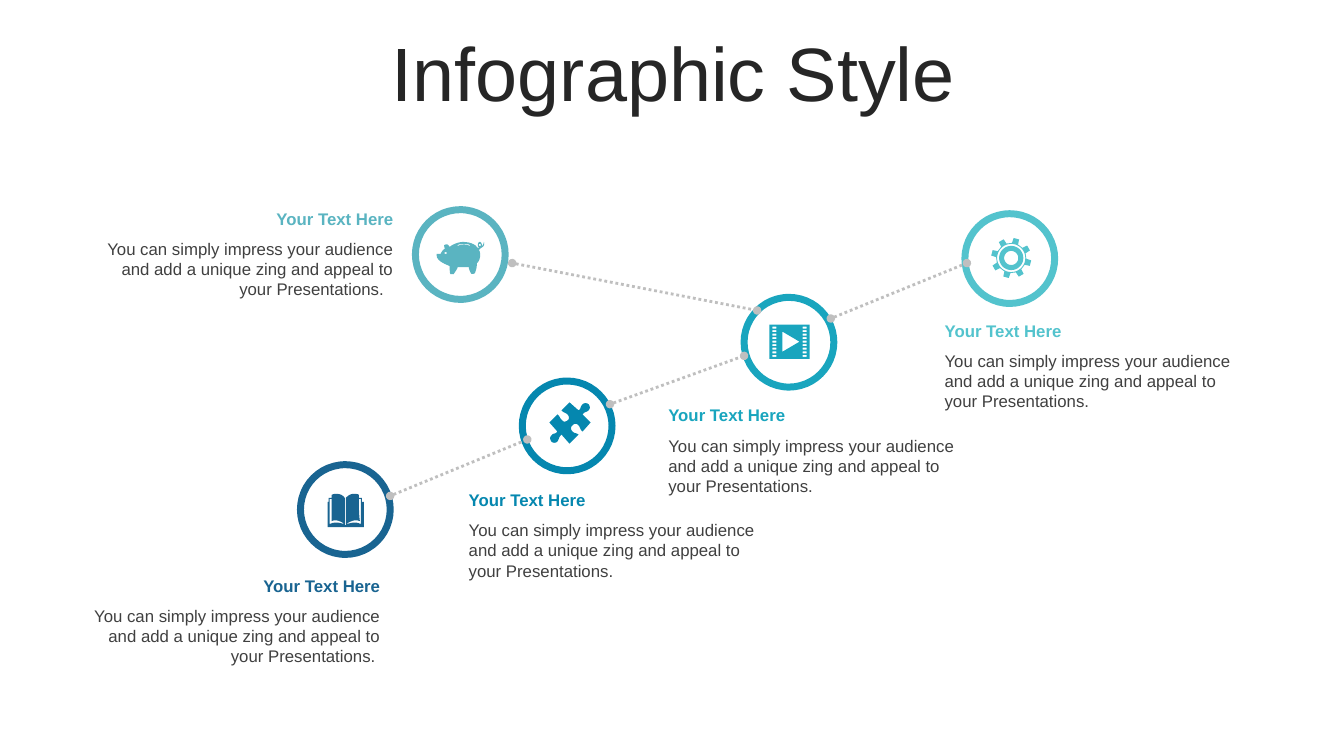
from dataclasses import dataclass
from math import cos, radians, sin
from lxml.etree import SubElement
from pptx import Presentation
from pptx.dml.color import RGBColor
from pptx.enum.dml import MSO_LINE
from pptx.enum.shapes import MSO_CONNECTOR, MSO_SHAPE
from pptx.enum.text import MSO_ANCHOR, MSO_AUTO_SIZE, PP_ALIGN
from pptx.oxml.ns import qn
from pptx.util import Inches, Pt

Point = tuple[float, float]
Loop = list[Point]

FONT, GREY, DARK = "Arial", "BFBFBF", "404040"
HEAD = "Your Text Here"
BODY = "You can simply impress your audience and add a unique zing and appeal to your Presentations."
RING = 0.89
LEFT, RIGHT = PP_ALIGN.LEFT, PP_ALIGN.RIGHT


@dataclass
class Node:
    hue: str
    ring: Point
    text: Point
    icon: list[Loop]
    width: float = 3.11
    align: PP_ALIGN = LEFT
    tail: str = ""
    turn: int = 0


@dataclass
class Link:
    start: Point
    end: Point


# Icon outlines: M, L, C and Z commands, in hundredths of an inch
PUZZLE = """M 585 404 C 586 405 587 408 585 410 C 583 412 581 411 579 414 L 587 422 L 579 431
C 576 429 577 426 574 424 C 573 423 570 423 569 425 C 567 426 567 429 569 431
C 571 433 572 432 575 434 L 566 443 L 558 434 C 555 437 556 438 554 441
C 552 443 549 442 548 441 C 547 439 546 437 548 435 C 550 432 552 434 554 431
L 546 422 L 554 414 C 557 416 556 418 559 420 C 560 422 563 421 564 420
C 566 419 566 416 564 414 C 562 412 561 413 558 410 L 566 402 L 575 410
C 578 408 576 407 579 404 C 581 402 584 403 585 404 Z"""
BOOK = """M 342 521 C 342 521 343 521 343 521 L 343 520 C 349 519 352 517 358 520 L 358 495
L 356 495 C 356 503 356 510 357 517 C 352 515 348 517 343 520 L 343 495 L 343 494
C 346 491 348 490 351 490 C 353 490 355 490 356 491 C 356 492 356 493 356 494
L 359 494 L 359 498 L 361 498 L 361 523 L 325 523 L 325 498 L 326 498 L 326 494 L 329 494
C 329 493 329 492 329 491 C 331 490 332 490 334 490 C 337 490 340 491 342 494
L 342 495 L 342 520 C 338 517 333 515 329 517 L 329 495 L 327 495 L 327 520
C 333 517 337 519 342 520 Z"""
PIG = """M 459 240 C 465 240 471 242 473 245 L 474 246 C 474 246 475 246 475 245
C 474 245 474 244 474 243 C 474 241 475 240 476 240 C 477 240 478 242 478 243
C 478 244 478 243 478 244 C 478 244 479 244 480 240 C 481 244 479 245 477 246
C 476 247 476 247 475 248 L 476 250 C 477 255 475 260 473 261 C 473 266 472 268 471 271
C 470 272 467 272 467 271 C 466 269 465 267 465 265 C 461 265 457 265 454 265
C 453 268 451 270 450 272 L 447 272 C 446 272 446 267 446 264 C 442 262 432 259 433 252
C 433 252 435 252 437 252 C 438 250 439 248 441 247 C 441 245 440 243 441 243
C 444 241 445 244 446 245 C 449 242 456 240 459 240 Z"""
MARKS = """M 442 250 C 441 250 441 250 441 251 C 441 252 441 252 442 252
C 443 252 443 252 443 251 C 443 250 443 250 442 250 Z
M 476 242 C 475 242 475 242 475 243 C 475 244 475 244 476 244 C 476 244 477 244 477 243
C 477 242 476 242 476 242 Z
M 460 242 C 458 242 456 242 454 243 L 454 244 C 458 242 462 242 466 244 L 466 243
C 464 242 462 242 460 242 Z"""


def trace(text: str, steps: int = 6) -> list[Loop]:
    """Turn path commands into loops of points, with curves cut into short lines."""
    loops: list[Loop] = []
    words = iter(text.split())

    def read() -> Point:
        return int(next(words)) / 100, int(next(words)) / 100

    for word in words:
        if word == "M":
            loops.append([read()])
        elif word == "L":
            loops[-1].append(read())
        elif word == "C":
            curve = [loops[-1][-1], read(), read(), read()]
            for step in range(1, steps + 1):
                t = step / steps
                parts = ((1 - t) ** 3, 3 * t * (1 - t) ** 2, 3 * t * t * (1 - t), t ** 3)
                loops[-1].append((sum(k * p[0] for k, p in zip(parts, curve)),
                                  sum(k * p[1] for k, p in zip(parts, curve))))
    return loops


def box(x: float, y: float, w: float, h: float) -> Loop:
    return [(x, y), (x + w, y), (x + w, y + h), (x, y + h)]


def film() -> list[Loop]:
    holes = [box(x, 3.24 + 0.28 * row / 8, 0.04, 0.02) for row in range(9) for x in (7.66, 7.96)]
    return [box(7.63, 3.22, 0.4, 0.34), [(7.76, 3.29), (7.76, 3.49), (7.93, 3.39)], *holes]


def gear() -> list[Loop]:
    def polar(size: float, angle: float) -> Point:
        return 10.03 + size * cos(radians(angle)), 2.56 + size * sin(radians(angle))

    teeth = [polar(size, 15 + 45 * tooth + shift) for tooth in range(8)
             for size, shift in ((0.15, -12), (0.2, -8), (0.2, 8), (0.15, 12))]
    rings = [[polar(size, angle) for angle in range(0, 360, 10)] for size in (0.14, 0.12, 0.07)]
    return [teeth, *rings]


NODES = [
    Node("196491", (2.98, 4.61), (0.76, 5.66), trace(BOOK), align=RIGHT, tail=" "),
    Node("0587AF", (5.18, 3.78), (4.55, 4.81), trace(PUZZLE), turn=45),
    Node("19A5BE", (7.38, 2.95), (6.53, 3.97), film()),
    Node("53C3CD", (9.57, 2.12), (9.27, 3.13), gear()),
    Node("5AB4C1", (4.12, 2.08), (0.95, 2.02), trace(PIG) + trace(MARKS), 3.05, RIGHT, "  "),
]
LINKS = [
    Link((3.87, 4.92), (5.23, 4.36)),
    Link((6.05, 4.01), (7.38, 3.53)),
    Link((8.24, 3.16), (9.59, 2.61)),
    Link((5.08, 2.61), (7.51, 3.08)),
]


def paint(fill, hue: str) -> None:
    """Give a fill one solid colour."""
    fill.solid()
    fill.fore_color.rgb = RGBColor.from_string(hue)


def write(slide, at: tuple[float, ...], text: str, size: int, hue: str,
          align: PP_ALIGN, bold: bool = False):
    frame = slide.shapes.add_textbox(*map(Inches, at)).text_frame
    frame.word_wrap = True
    line = frame.paragraphs[0]
    line.text, line.alignment = text, align
    font = line.runs[0].font
    font.name, font.size, font.bold = FONT, Pt(size), bold
    paint(font.fill, hue)
    return frame


def circle(slide, node: Node) -> None:
    ring = slide.shapes.add_shape(MSO_SHAPE.OVAL, *map(Inches, (*node.ring, RING, RING)))
    ring.shadow.inherit = False
    paint(ring.fill, "FFFFFF")
    paint(ring.line.fill, node.hue)
    ring.line.width = Pt(5)


def label(slide, node: Node) -> None:
    x, y = node.text
    for top, high, text, hue, bold in ((y + 0.3, 0.71, BODY + node.tail, DARK, False),
                                       (y, 0.3, HEAD, node.hue, True)):
        frame = write(slide, (x, top, node.width, high), text, 12, hue, node.align, bold)
        frame.auto_size = MSO_AUTO_SIZE.SHAPE_TO_FIT_TEXT


def join(slide, link: Link) -> None:
    line = slide.shapes.add_connector(MSO_CONNECTOR.STRAIGHT, *map(Inches, link.start + link.end))
    paint(line.line.fill, GREY)
    line.line.width, line.line.dash_style = Pt(2), MSO_LINE.ROUND_DOT
    props = line._element.spPr
    for end in ("a:headEnd", "a:tailEnd"):
        SubElement(props.find(qn("a:ln")), qn(end), type="oval")
    SubElement(props, qn("a:effectLst"))


def draw(slide, node: Node) -> None:
    # Points are turned back about the ring's centre, then the shape is rotated
    mid_x, mid_y = (edge + RING / 2 for edge in node.ring)
    c, s = cos(radians(node.turn)), sin(radians(node.turn))
    loops = [[(Inches(mid_x + (x - mid_x) * c + (y - mid_y) * s),
               Inches(mid_y - (x - mid_x) * s + (y - mid_y) * c)) for x, y in loop]
             for loop in node.icon]
    pen = slide.shapes.build_freeform(*loops[0][0])
    for rank, loop in enumerate(loops):
        if rank:
            pen.move_to(*loop[0])
        pen.add_line_segments(loop[1:], close=True)
    icon = pen.convert_to_shape()
    icon.shadow.inherit = False
    paint(icon.fill, node.hue)
    icon.line.fill.background()
    icon.rotation = node.turn


def main() -> None:
    deck = Presentation()
    deck.slide_width, deck.slide_height = Inches(13.33), Inches(7.5)
    slide = deck.slides.add_slide(deck.slide_layouts[6])

    # Title
    title = write(slide, (0.35, 0.37, 12.66, 0.79), "Infographic Style", 54, "262626", PP_ALIGN.CENTER)
    title.vertical_anchor = MSO_ANCHOR.MIDDLE
    title.paragraphs[0].line_spacing, title.paragraphs[0].space_before = 0.9, Pt(10)

    # Rings and labels, then links, then icons on top
    for node in NODES:
        circle(slide, node)
        label(slide, node)
    for link in LINKS:
        join(slide, link)
    for node in NODES:
        draw(slide, node)
    deck.save("out.pptx")


if __name__ == "__main__":
    main()
